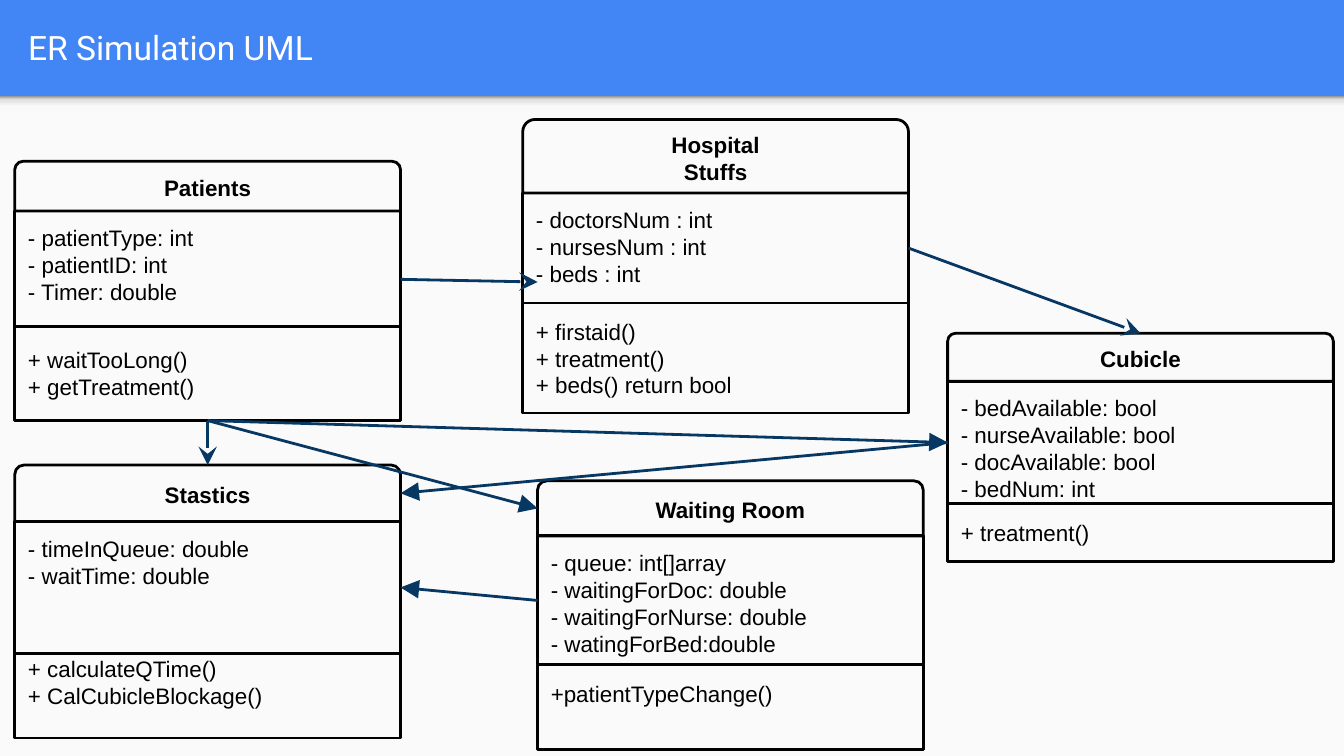
"""Build the ER simulation class diagram slide."""

from dataclasses import dataclass
from typing import Any, NamedTuple, Optional

from lxml.etree import SubElement
from pptx import Presentation
from pptx.dml.color import RGBColor
from pptx.enum.shapes import MSO_CONNECTOR, MSO_SHAPE
from pptx.enum.text import MSO_ANCHOR, PP_ALIGN
from pptx.oxml.ns import qn
from pptx.util import Cm, Pt


@dataclass(frozen=True)
class Theme:
    banner: str = "4285F4"
    panel: str = "FAFAFA"
    ink: str = "000000"
    link: str = "073763"
    title: str = "FFFFFF"
    shade: tuple = ((0, "F9F9F9"), (36, "F9F9F9"), (80, "DEDEDE"), (100, "999999"))
    title_font: str = "Roboto"
    body_font: str = "Arial"
    title_size: float = 18
    body_size: float = 12
    stroke: float = 1.5


class Point(NamedTuple):
    x: int
    y: int


class Anchor(NamedTuple):
    owner: str
    compartment: int
    side: int


@dataclass(frozen=True)
class UmlClass:
    name: str
    left: float
    top: float
    heights: tuple[float, float, float]
    fields: str
    methods: str
    methods_bottom: float = 0.25


@dataclass(frozen=True)
class Link:
    begin: Anchor | Point
    end: Anchor | Point
    head: str = "triangle"


THEME = Theme()
SLIDE_WIDTH, SLIDE_HEIGHT, BANNER_HEIGHT = Cm(25.4), Cm(14.29), Cm(1.82)
CLASS_WIDTH = Cm(7.29)
INSET = Cm(0.25)
HEADER, FIELDS, METHODS = range(3)
TOP, LEFT, BOTTOM, RIGHT = range(4)

CLASSES = (
    UmlClass("Hospital\vStuffs", 9.88, 2.26, (1.39, 2.08, 2.08),
             "- doctorsNum : int\v- nursesNum : int\v- beds : int",
             "+ firstaid()\v+ treatment()\n+ beds() return bool"),
    UmlClass("Patients", 0.28, 3.05, (0.94, 2.18, 1.78),
             "- patientType: int\n- patientID: int\n- Timer: double",
             "+ waitTooLong()\n+ getTreatment()"),
    UmlClass("Waiting Room", 10.16, 9.09, (1.04, 2.44, 1.6),
             "- queue: int[]array\n- waitingForDoc: double\n"
             "- waitingForNurse: double\n- watingForBed:double",
             "+patientTypeChange()", 0.76),
    UmlClass("Cubicle", 17.91, 6.3, (0.91, 2.31, 1.09),
             "- bedAvailable: bool\n- nurseAvailable: bool\n"
             "- docAvailable: bool\n- bedNum: int",
             "+ treatment()"),
    UmlClass("Stastics", 0.28, 8.79, (1.07, 2.49, 1.6),
             "- timeInQueue: double\n- waitTime: double",
             "+ calculateQTime()\n+ CalCubicleBlockage()", 0.76),
)

PATIENTS_EXIT = Anchor("Patients", METHODS, BOTTOM)
CUBICLE_ENTRY = Anchor("Cubicle", FIELDS, LEFT)
LINKS = (
    Link(Point(Cm(7.57), Cm(5.28)), Point(Cm(10.16), Cm(5.33)), "stealth"),
    Link(PATIENTS_EXIT, Anchor("Stastics", HEADER, TOP), "stealth"),
    Link(Anchor("Waiting Room", FIELDS, LEFT), Anchor("Stastics", FIELDS, RIGHT)),
    Link(CUBICLE_ENTRY, Anchor("Stastics", HEADER, RIGHT)),
    Link(PATIENTS_EXIT, CUBICLE_ENTRY),
    Link(Anchor("Hospital\vStuffs", FIELDS, RIGHT), Anchor("Cubicle", HEADER, TOP), "stealth"),
    Link(PATIENTS_EXIT, Anchor("Waiting Room", HEADER, LEFT)),
)


def apply_formats(target: Any, formats: dict[str, Any]) -> None:
    """Set every named attribute on the target."""
    for attribute, value in formats.items():
        setattr(target, attribute, value)


def write_text(shape: Any, text: str, font: dict[str, Any], color: str,
               align: PP_ALIGN, frame_formats: dict[str, Any]) -> None:
    """Fill a shape with uniformly formatted text."""
    frame = shape.text_frame
    insets = {f"margin_{side}": INSET for side in ("left", "top", "right", "bottom")}
    apply_formats(frame, {"word_wrap": True, **insets, **frame_formats, "text": text})
    for paragraph in frame.paragraphs:
        paragraph.alignment = align
        for run in paragraph.runs:
            apply_formats(run.font, font)
            run.font.color.rgb = RGBColor.from_string(color)


def draw_backdrop(slide: Any) -> None:
    """Draw the banner colour, the content panel and the shade under the banner."""
    background = slide.background.fill
    background.solid()
    background.fore_color.rgb = RGBColor.from_string(THEME.banner)
    panel, shade = (
        slide.shapes.add_shape(MSO_SHAPE.RECTANGLE, 0, BANNER_HEIGHT, SLIDE_WIDTH, height)
        for height in (SLIDE_HEIGHT - BANNER_HEIGHT, Cm(0.3))
    )
    for band in (panel, shade):
        band.shadow.inherit = False
        band.line.fill.background()
    panel.fill.solid()
    panel.fill.fore_color.rgb = RGBColor.from_string(THEME.panel)
    shade.fill.gradient()
    shade.fill.gradient_angle = 90
    stops = shade.element.spPr.find(qn("a:gradFill")).find(qn("a:gsLst"))
    for stop in list(stops):
        stops.remove(stop)
    for percent, color in THEME.shade:
        stop = SubElement(stops, qn("a:gs"), pos=str(percent * 1000))
        SubElement(stop, qn("a:srgbClr"), val=color)


def draw_title(slide: Any, text: str) -> None:
    """Place the slide title on the banner."""
    title = slide.shapes.title
    apply_formats(title, {"left": Cm(0.28), "top": Cm(0.05),
                          "width": Cm(24.51), "height": Cm(1.68)})
    write_text(title, text, {"name": THEME.title_font, "size": Pt(THEME.title_size)},
               THEME.title, PP_ALIGN.LEFT, {"vertical_anchor": MSO_ANCHOR.MIDDLE})


def draw_class(slide: Any, uml: UmlClass) -> list[Any]:
    """Draw a class as a group of three stacked compartments."""
    group = slide.shapes.add_group_shape()
    compartments = []
    top = Cm(uml.top)
    for index, (text, height) in enumerate(zip((uml.name, uml.fields, uml.methods), uml.heights)):
        is_header = index == HEADER
        preset = MSO_SHAPE.ROUND_2_SAME_RECTANGLE if is_header else MSO_SHAPE.RECTANGLE
        box = group.shapes.add_shape(preset, Cm(uml.left), top, CLASS_WIDTH, Cm(height))
        box.shadow.inherit = False
        box.fill.background()
        box.line.color.rgb = RGBColor.from_string(THEME.ink)
        box.line.width = Pt(THEME.stroke)
        write_text(
            box, text,
            {"name": THEME.body_font, "size": Pt(THEME.body_size), "bold": is_header},
            THEME.ink, PP_ALIGN.CENTER if is_header else PP_ALIGN.LEFT,
            {"vertical_anchor": MSO_ANCHOR.TOP if index == FIELDS else MSO_ANCHOR.MIDDLE,
             "margin_bottom": Cm(uml.methods_bottom) if index == METHODS else INSET},
        )
        compartments.append(box)
        top += Cm(height)
    return compartments


def locate(target: Anchor | Point, diagram: dict[str, list[Any]]) -> tuple[Point, Optional[Any]]:
    """Find the position of a link end and the rectangle it joins, if any."""
    if isinstance(target, Point):
        return target, None
    box = diagram[target.owner][target.compartment]
    across, down = {TOP: (1, 0), LEFT: (0, 1), BOTTOM: (1, 2), RIGHT: (2, 1)}[target.side]
    position = Point(box.left + box.width * across // 2, box.top + box.height * down // 2)
    return position, None if target.compartment == HEADER else box


def draw_link(slide: Any, link: Link, diagram: dict[str, list[Any]]) -> None:
    """Draw an arrow between two classes."""
    start, source = locate(link.begin, diagram)
    finish, destination = locate(link.end, diagram)
    arrow = slide.shapes.add_connector(MSO_CONNECTOR.STRAIGHT, *start, *finish)
    if source is not None:
        arrow.begin_connect(source, link.begin.side)
    if destination is not None:
        arrow.end_connect(destination, link.end.side)
    arrow.line.color.rgb = RGBColor.from_string(THEME.link)
    arrow.line.width = Pt(THEME.stroke)
    properties = arrow.element.spPr
    SubElement(properties.find(qn("a:ln")), qn("a:tailEnd"), type=link.head, w="lg", len="lg")
    SubElement(properties, qn("a:effectLst"))


def main() -> None:
    """Build and save the slide."""
    presentation = Presentation()
    apply_formats(presentation, {"slide_width": SLIDE_WIDTH, "slide_height": SLIDE_HEIGHT})
    slide = presentation.slides.add_slide(presentation.slide_layouts[5])
    draw_backdrop(slide)
    draw_title(slide, "ER Simulation UML")
    diagram = {uml.name: draw_class(slide, uml) for uml in CLASSES}
    for link in LINKS:
        draw_link(slide, link, diagram)
    presentation.save("out.pptx")


if __name__ == "__main__":
    main()
